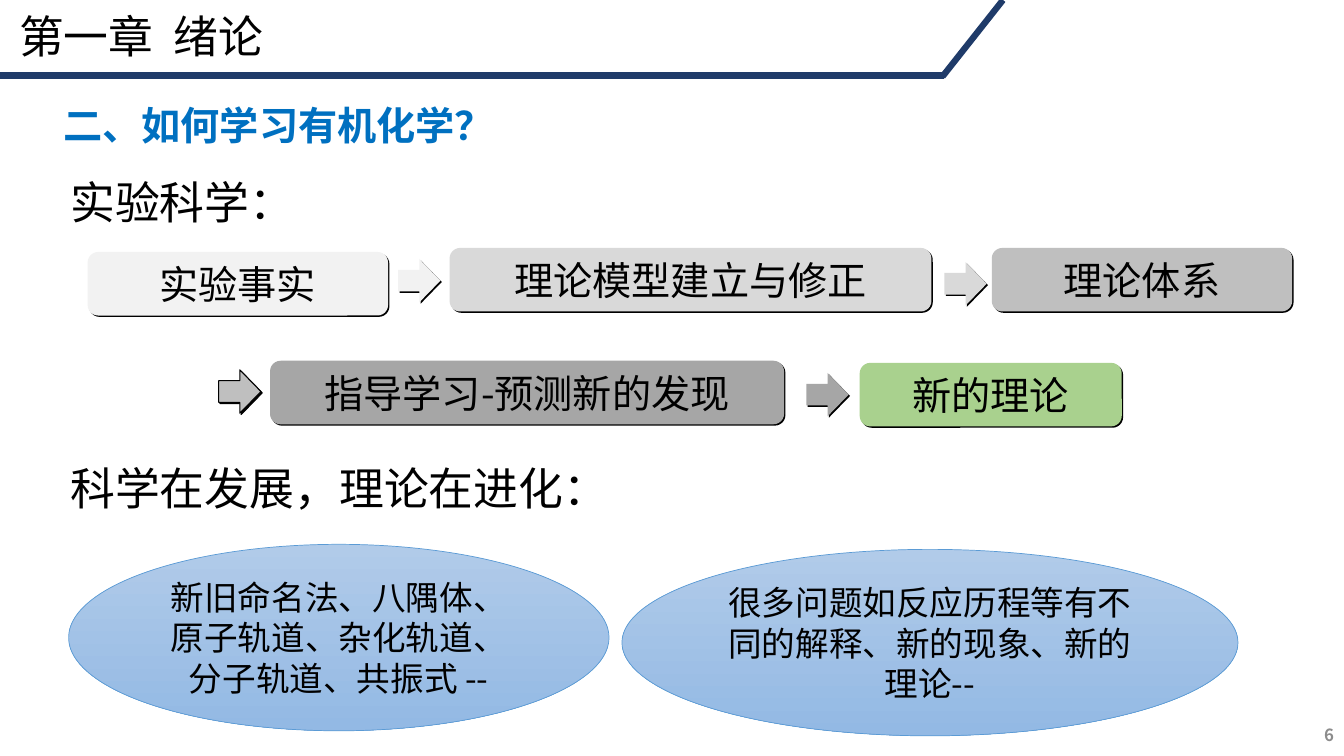
from lxml.etree import SubElement
from pptx import Presentation
from pptx.dml.color import RGBColor
from pptx.enum.shapes import MSO_CONNECTOR, MSO_SHAPE
from pptx.enum.text import MSO_ANCHOR, PP_ALIGN
from pptx.oxml.ns import qn
from pptx.util import Pt

FONT = "Noto Sans CJK SC"
BLACK = RGBColor(0x00, 0x00, 0x00)
NAVY = RGBColor(0x1F, 0x3B, 0x69)
BLUE = RGBColor(0x00, 0x70, 0xC0)
EDGE = RGBColor(0x5B, 0x9B, 0xD5)
LIGHT = RGBColor(0xB1, 0xCB, 0xE9)
DEEP = RGBColor(0x93, 0xB9, 0xE4)
GREEN = RGBColor(0xA9, 0xD1, 0x8E)
PALE = RGBColor(0xF2, 0xF2, 0xF2)
SILVER = RGBColor(0xD9, 0xD9, 0xD9)
GREY = RGBColor(0xBF, 0xBF, 0xBF)
DARK = RGBColor(0xA6, 0xA6, 0xA6)
DIM = RGBColor(0x8C, 0x8C, 0x8C)


def write(shape, text, size, color=BLACK, bold=False, align=PP_ALIGN.LEFT, anchor=MSO_ANCHOR.TOP):
    """Fill a shape with one styled paragraph."""
    frame = shape.text_frame
    frame.word_wrap = True
    frame.vertical_anchor = anchor
    frame.text = text
    para = frame.paragraphs[0]
    para.alignment = align
    para.line_spacing = Pt(size * 1.2)
    font = para.runs[0].font
    font.size, font.bold, font.name = Pt(size), bold, FONT
    font.color.rgb = color
    SubElement(para.runs[0]._r.get_or_add_rPr(), qn("a:ea"), typeface=FONT)


def label(slide, box, text, size, **style):
    """Add a text box."""
    write(slide.shapes.add_textbox(*map(Pt, box)), text, size, **style)


def block(slide, kind, box, color):
    """Add a filled shape with a hard drop shadow."""
    shape = slide.shapes.add_shape(kind, *map(Pt, box))
    shape.fill.solid()
    shape.fill.fore_color.rgb = color
    shape.line.fill.background()
    shape.shadow.inherit = False
    effect = shape._element.spPr.find(qn("a:effectLst"))
    shade = SubElement(effect, qn("a:outerShdw"), blurRad="0", dist=str(Pt(1.4)),
                       dir="2700000", algn="ctr", rotWithShape="0")
    SubElement(shade, qn("a:srgbClr"), val=str(BLACK))
    return shape


def header(slide, box):
    """Draw the chapter title over its bent rule."""
    left, top, width, height = box
    label(slide, (left + 6.5, top + 2.9, 686, 46), "第一章  绪论", 32)
    base = top + height
    bend = left + width
    for ends in ((left, base, bend, base), (bend - 1.4, base + 0.7, bend + 41.8, top)):
        rule = slide.shapes.add_connector(MSO_CONNECTOR.STRAIGHT, *map(Pt, ends))
        rule.line.color.rgb = NAVY
        rule.line.width = Pt(4.5)
        SubElement(rule._element.spPr, qn("a:effectLst"))


def flow(slide, box):
    """Place the steps and arrows of the scientific method."""
    left, top, _, height = box
    steps = (
        (0, 2.9, 214.6, PALE, "实验事实"),
        (258.5, 0, 344.2, SILVER, "理论模型建立与修正"),
        (645.8, 0, 214.6, GREY, "理论体系"),
        (130.3, 80.6, 367.2, DARK, "指导学习-预测新的发现"),
        (551.5, 82.1, 187.2, GREEN, "新的理论"),
    )
    for dx, dy, width, color, text in steps:
        step = block(slide, MSO_SHAPE.ROUNDED_RECTANGLE, (left + dx, top + dy, width, height), color)
        write(step, text, 28, align=PP_ALIGN.CENTER, anchor=MSO_ANCHOR.MIDDLE)
    arrows = ((221.8, 7.9, PALE), (612, 10.1, SILVER), (93.6, 87.1, GREY), (513.4, 89.3, DARK))
    for dx, dy, color in arrows:
        arrow = block(slide, MSO_SHAPE.RIGHT_ARROW, (left + dx, top + dy, 30.2, 31), color)
        if color == GREY:
            arrow.line.color.rgb = BLACK
            arrow.line.width = Pt(0.75)


def ovals(slide, box):
    """Place the two ovals with examples."""
    left, top, _, height = box
    items = (
        (0, 0, 386, "新旧命名法、八隅体、原子轨道、杂化轨道、分子轨道、共振式 --"),
        (395.3, 3.6, 440, "很多问题如反应历程等有不同的解释、新的现象、新的理论--"),
    )
    for dx, dy, width, text in items:
        oval = slide.shapes.add_shape(MSO_SHAPE.OVAL, *map(Pt, (left + dx, top + dy, width, height)))
        oval.shadow.inherit = False
        oval.fill.gradient()
        oval.fill.gradient_angle = 270
        for stop, color in zip(oval.fill.gradient_stops, (LIGHT, DEEP)):
            stop.color.rgb = color
        oval.line.color.rgb = EDGE
        oval.line.width = Pt(0.5)
        write(oval, text, 24, align=PP_ALIGN.CENTER, anchor=MSO_ANCHOR.MIDDLE)


def main():
    """Build and save the slide."""
    deck = Presentation()
    deck.slide_width, deck.slide_height = Pt(960), Pt(540)
    slide = deck.slides.add_slide(deck.slide_layouts[6])
    header(slide, (0, 0, 674.6, 54))
    label(slide, (38.2, 69.1, 330, 41), "二、如何学习有机化学？", 28, color=BLUE, bold=True)
    label(slide, (43.2, 121, 329, 46), "实验科学：", 32)
    flow(slide, (62.6, 177.1, 860.4, 45.4))
    label(slide, (43.2, 325.4, 499, 46), "科学在发展，理论在进化：", 32)
    ovals(slide, (49, 388.8, 835.3, 133.2))
    label(slide, (924, 510, 36, 30), "6", 12, color=DIM, bold=True,
          align=PP_ALIGN.RIGHT, anchor=MSO_ANCHOR.MIDDLE)
    deck.save("out.pptx")


if __name__ == "__main__":
    main()
